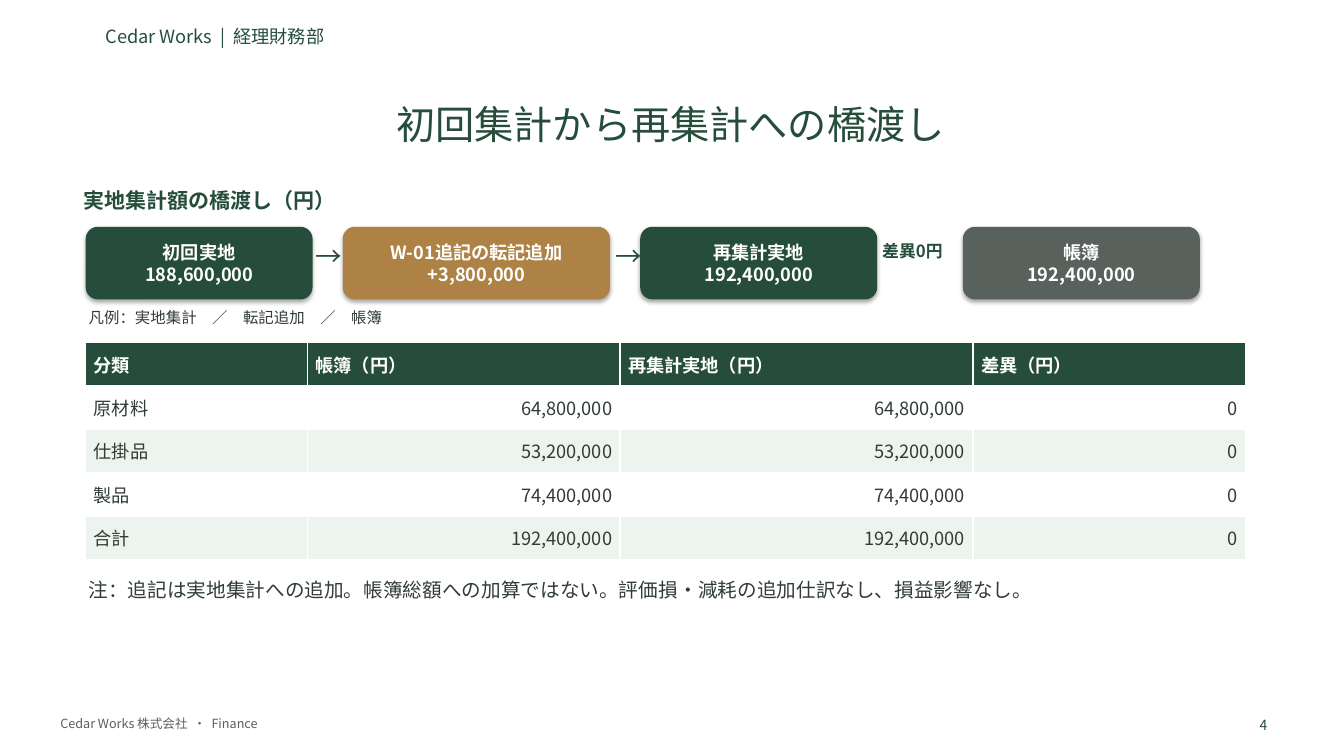
from dataclasses import dataclass
from typing import Any

from lxml import etree
from pptx import Presentation
from pptx import util as u
from pptx.dml import color
from pptx.enum import shapes, text
from pptx.oxml import ns

Box = tuple[float, float, float, float]


@dataclass(frozen=True)
class Theme:
    font: str = "Noto Sans CJK JP"
    green: str = "264D3C"
    gold: str = "AE8244"
    gray: str = "59615C"
    ink: str = "303C35"
    white: str = "FFFFFF"
    band: str = "EDF3EE"
    title: float = 28
    arrow: float = 19
    heading: float = 15
    note: float = 14
    body: float = 13
    gap: float = 12
    legend: float = 11
    page: float = 10
    footer: float = 9


T = Theme()
LEFT, CENTER, RIGHT = text.PP_ALIGN.LEFT, text.PP_ALIGN.CENTER, text.PP_ALIGN.RIGHT
FRAME_INSETS = (0.1, 0.05, 0.1, 0.05)
TIGHT_INSETS = (0.03, 0.01, 0.03, 0.01)
CARD_INSETS = (0.1, 0.06, 0.1, 0.05)
CELL_INSETS = (0.08, 0.04, 0.08, 0.04)


@dataclass(frozen=True)
class Label:
    words: str
    box: Box
    size: float
    color: str = T.green
    bold: bool = False
    align: Any = LEFT
    insets: Box = TIGHT_INSETS
    after: float = 5
    grow: bool = True


@dataclass(frozen=True)
class Card:
    left: float
    width: float
    fill: str
    name: str
    amount: str


LABELS = [
    Label("Cedar Works  |  経理財務部", (0.95, 0.2, 8, 0.5), T.body,
          insets=FRAME_INSETS, after=0),
    Label("Cedar Works 株式会社  •  Finance", (0.5, 7.05, 11, 0.25), T.footer, T.gray,
          insets=FRAME_INSETS, after=0),
    Label("初回集計から再集計への橋渡し", (0.65, 0.95, 12, 0.8), T.title,
          align=CENTER, insets=FRAME_INSETS, after=0, grow=False),
    Label("4", (12.25, 7.1, 0.35, 0.22), T.page, align=RIGHT),
    Label("実地集計額の橋渡し（円）", (0.8, 1.85, 5, 0.3), T.heading, bold=True),
    Label("→", (3.1, 2.37, 0.3, 0.4), T.arrow),
    Label("→", (6.08, 2.37, 0.3, 0.4), T.arrow),
    Label("差異0円", (8.72, 2.38, 0.85, 0.4), T.gap, bold=True),
    Label("凡例：実地集計　／　転記追加　／　帳簿", (0.85, 3.05, 11, 0.25), T.legend, T.ink),
    Label("注：追記は実地集計への追加。帳簿総額への加算ではない。"
          "評価損・減耗の追加仕訳なし、損益影響なし。",
          (0.85, 5.72, 11.5, 0.65), T.note, T.ink),
]

CARDS = [
    Card(0.85, 2.25, T.green, "初回実地", "188,600,000"),
    Card(3.4, 2.65, T.gold, "W-01追記の転記追加", "+3,800,000"),
    Card(6.35, 2.35, T.green, "再集計実地", "192,400,000"),
    Card(9.55, 2.35, T.gray, "帳簿", "192,400,000"),
]

COLUMN_WIDTHS = [2.2, 3.1, 3.5, 2.7]
ROW_HEIGHT = 0.43
ROWS = [
    ["分類", "帳簿（円）", "再集計実地（円）", "差異（円）"],
    ["原材料", "64,800,000", "64,800,000", "0"],
    ["仕掛品", "53,200,000", "53,200,000", "0"],
    ["製品", "74,400,000", "74,400,000", "0"],
    ["合計", "192,400,000", "192,400,000", "0"],
]


def rgb(value: str) -> color.RGBColor:
    return color.RGBColor.from_string(value)


def set_insets(target: Any, insets: Box) -> None:
    """Set the margins of a text frame or a table cell."""
    (target.margin_left, target.margin_top,
     target.margin_right, target.margin_bottom) = map(u.Inches, insets)


def write(tf: Any, words: str, *, size: float, fill: str, bold: bool = False,
          align: Any = LEFT, after: float = 0) -> None:
    """Write one paragraph per line, with the same face for Latin and Japanese."""
    for i, line in enumerate(words.split("\n")):
        p = tf.add_paragraph() if i else tf.paragraphs[0]
        p.alignment = align
        if after:
            p.space_after = u.Pt(after)
        r = p.add_run()
        r.text = line
        r.font.size, r.font.bold, r.font.name = u.Pt(size), bold, T.font
        r.font.color.rgb = rgb(fill)
        ea = etree.SubElement(r.font._element, ns.qn("a:ea"))
        ea.set("typeface", T.font)


def add_block(s: Any, kind: Any, box: Box, fill: str) -> Any:
    """Add a borderless solid shape that keeps the theme's soft shadow."""
    sp = s.shapes.add_shape(kind, *map(u.Inches, box))
    sp.fill.solid()
    sp.fill.fore_color.rgb = rgb(fill)
    sp.line.fill.background()
    return sp


def add_card(s: Any, card: Card) -> None:
    sp = add_block(s, shapes.MSO_SHAPE.ROUNDED_RECTANGLE,
                   (card.left, 2.25, card.width, 0.72), card.fill)
    tf = sp.text_frame
    tf.word_wrap = True
    tf.vertical_anchor = text.MSO_ANCHOR.MIDDLE
    set_insets(tf, CARD_INSETS)
    write(tf, f"{card.name}\n{card.amount}", size=T.body, fill=T.white,
          bold=True, align=CENTER)


def add_label(s: Any, label: Label) -> None:
    tf = s.shapes.add_textbox(*map(u.Inches, label.box)).text_frame
    tf.word_wrap = True
    tf.auto_size = (text.MSO_AUTO_SIZE.SHAPE_TO_FIT_TEXT if label.grow
                    else text.MSO_AUTO_SIZE.NONE)
    set_insets(tf, label.insets)
    write(tf, label.words, size=label.size, fill=label.color, bold=label.bold,
          align=label.align, after=label.after)


def add_ledger(s: Any) -> None:
    box = (0.85, 3.4, sum(COLUMN_WIDTHS), ROW_HEIGHT * len(ROWS))
    table = s.shapes.add_table(len(ROWS), len(COLUMN_WIDTHS), *map(u.Inches, box)).table
    for column, width in zip(table.columns, COLUMN_WIDTHS):
        column.width = u.Inches(width)
    for i, row in enumerate(ROWS):
        table.rows[i].height = u.Inches(ROW_HEIGHT)
        header = i == 0
        fill = T.green if header else T.white if i % 2 else T.band
        for j, words in enumerate(row):
            cell = table.cell(i, j)
            cell.fill.solid()
            cell.fill.fore_color.rgb = rgb(fill)
            cell.vertical_anchor = text.MSO_ANCHOR.MIDDLE
            set_insets(cell, CELL_INSETS)
            write(cell.text_frame, words, size=T.body,
                  fill=T.white if header else T.ink, bold=header,
                  align=LEFT if header or j == 0 else RIGHT)


def main() -> None:
    prs = Presentation()
    prs.slide_width, prs.slide_height = u.Inches(13.33), u.Inches(7.5)
    s = prs.slides.add_slide(prs.slide_layouts[6])
    for card in CARDS:
        add_card(s, card)
    for label in LABELS:
        add_label(s, label)
    add_ledger(s)
    prs.save("out.pptx")


if __name__ == "__main__":
    main()
